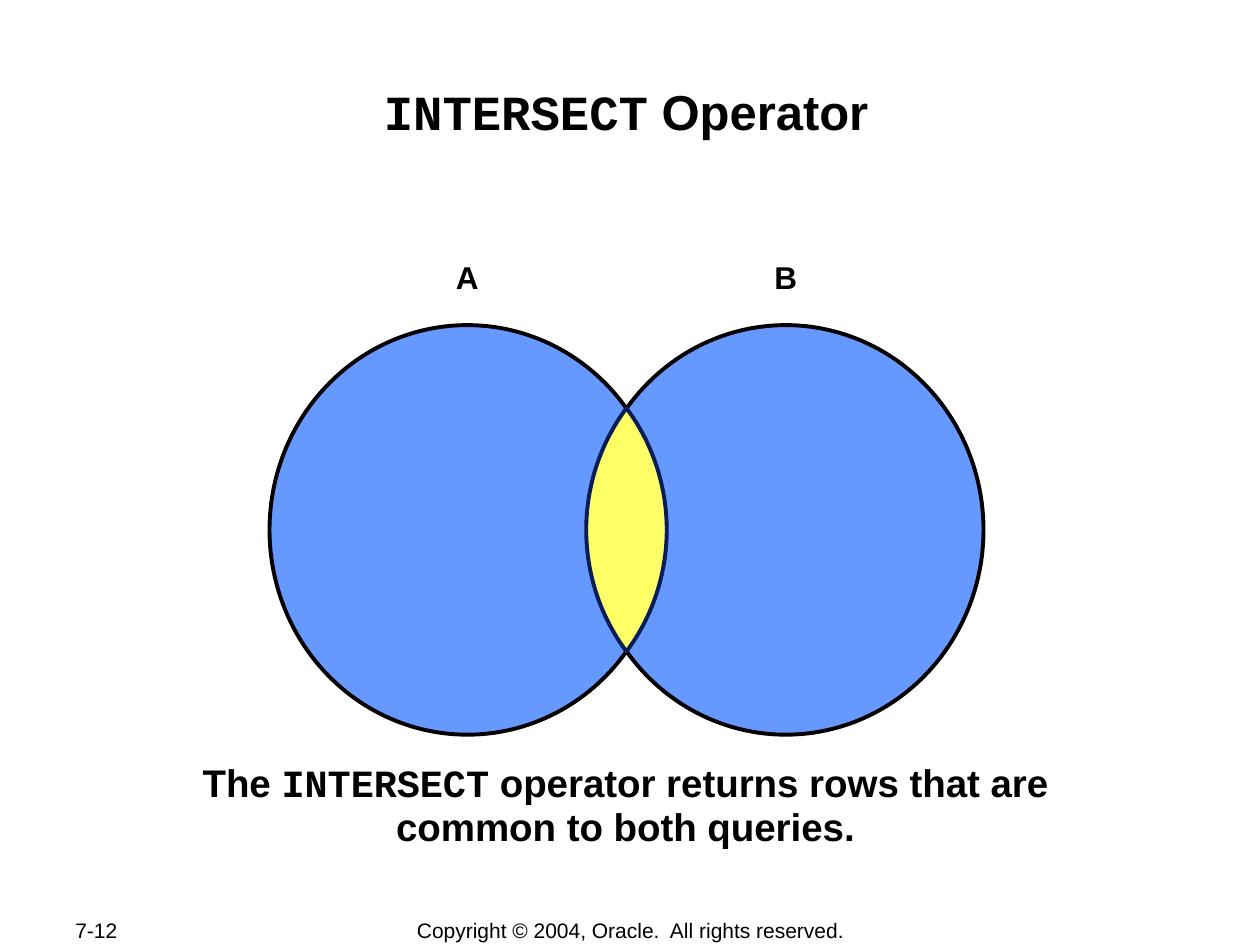
import math

from pptx import Presentation
from pptx.enum import shapes, text
from pptx.dml.color import RGBColor
from pptx.util import Pt

COLORS = {"ink": "000000", "circle": "6699FF", "common": "FFFF66", "edge": "081D58"}
SANS, MONO = "Arial", "Courier New"
LEFT, CENTER = text.PP_ALIGN.LEFT, text.PP_ALIGN.CENTER
TOP, MIDDLE = text.MSO_ANCHOR.TOP, text.MSO_ANCHOR.MIDDLE


class Deck:
    def __init__(self, width, height):
        self.prs = Presentation()
        self.prs.slide_width, self.prs.slide_height = Pt(width), Pt(height)
        self.s = self.prs.slides.add_slide(self.prs.slide_layouts[6])

    def color(self, name):
        return RGBColor.from_string(COLORS[name])

    def label(self, box, runs, size, bold=True, align=CENTER, anchor=TOP,
              inset=(7.2, 3.6), wrap=True, spacing=None):
        sp = self.s.shapes.add_textbox(*map(Pt, box))
        tf = sp.text_frame
        tf.word_wrap = wrap
        tf.vertical_anchor = anchor
        tf.margin_left = tf.margin_right = Pt(inset[0])
        tf.margin_top = tf.margin_bottom = Pt(inset[1])
        p = tf.paragraphs[0]
        p.alignment = align
        if spacing:
            p.line_spacing = spacing
        p.font.size, p.font.bold = Pt(size), bold
        p.font.color.rgb = self.color("ink")
        fonts = {font for _, font in runs}
        if len(fonts) == 1:
            p.font.name = fonts.pop()
        for words, font in runs:
            r = p.add_run()
            r.text = words
            if p.font.name is None:
                r.font.name = font

    def paint(self, sp, fill, line):
        sp.shadow.inherit = False
        sp.fill.solid()
        sp.fill.fore_color.rgb = self.color(fill)
        sp.line.color.rgb = self.color(line)
        sp.line.width = Pt(2.25)

    def circle(self, cx, cy, rx, ry):
        sp = self.s.shapes.add_shape(
            shapes.MSO_SHAPE.OVAL, Pt(cx - rx), Pt(cy - ry), Pt(2 * rx), Pt(2 * ry))
        self.paint(sp, "circle", "ink")

    def lens(self, cx, cy, rx, ry, offset, steps=60):
        limit = math.acos(offset / rx)
        angles = [limit * (2 * i / steps - 1) for i in range(steps + 1)]
        arc = [(rx * math.cos(a) - offset, ry * math.sin(a)) for a in angles]
        points = [(Pt(cx + side * x), Pt(cy + side * y))
                  for side in (1, -1) for x, y in arc]
        fb = self.s.shapes.build_freeform(*points[0])
        fb.add_line_segments(points[1:], close=True)
        self.paint(fb.convert_to_shape(), "common", "edge")


def main():
    deck = Deck(720, 540)
    deck.label((36, 524.2, 76.3, 14.4), [("7-12", SANS)], 12,
               bold=False, align=LEFT, anchor=MIDDLE)
    deck.label((198.7, 524.2, 323.3, 15.1),
               [("Copyright © 2004, Oracle.  All rights reserved.", SANS)], 12,
               bold=False, anchor=MIDDLE)
    deck.label((69.8, 41.8, 576, 69.1), [("INTERSECT", MONO), (" Operator", SANS)],
               28, inset=(0.72, 4.5))

    middle, cy, rx, ry = 358, 302.8, 113, 117
    for name, cx in (("A", middle - 91), ("B", middle + 91)):
        deck.circle(cx, cy, rx, ry)
        deck.label((cx - 13.7, 144, 27.4, 28.8), [(name, SANS)], 18, wrap=False)

    deck.label((71.3, 432, 572.4, 57.6),
               [("The ", SANS), ("INTERSECT", MONO),
                (" operator returns rows that are common to both queries.", SANS)],
               22, spacing=0.95)
    deck.lens(middle, cy, rx, 115, 90)
    deck.prs.save("out.pptx")


if __name__ == "__main__":
    main()
